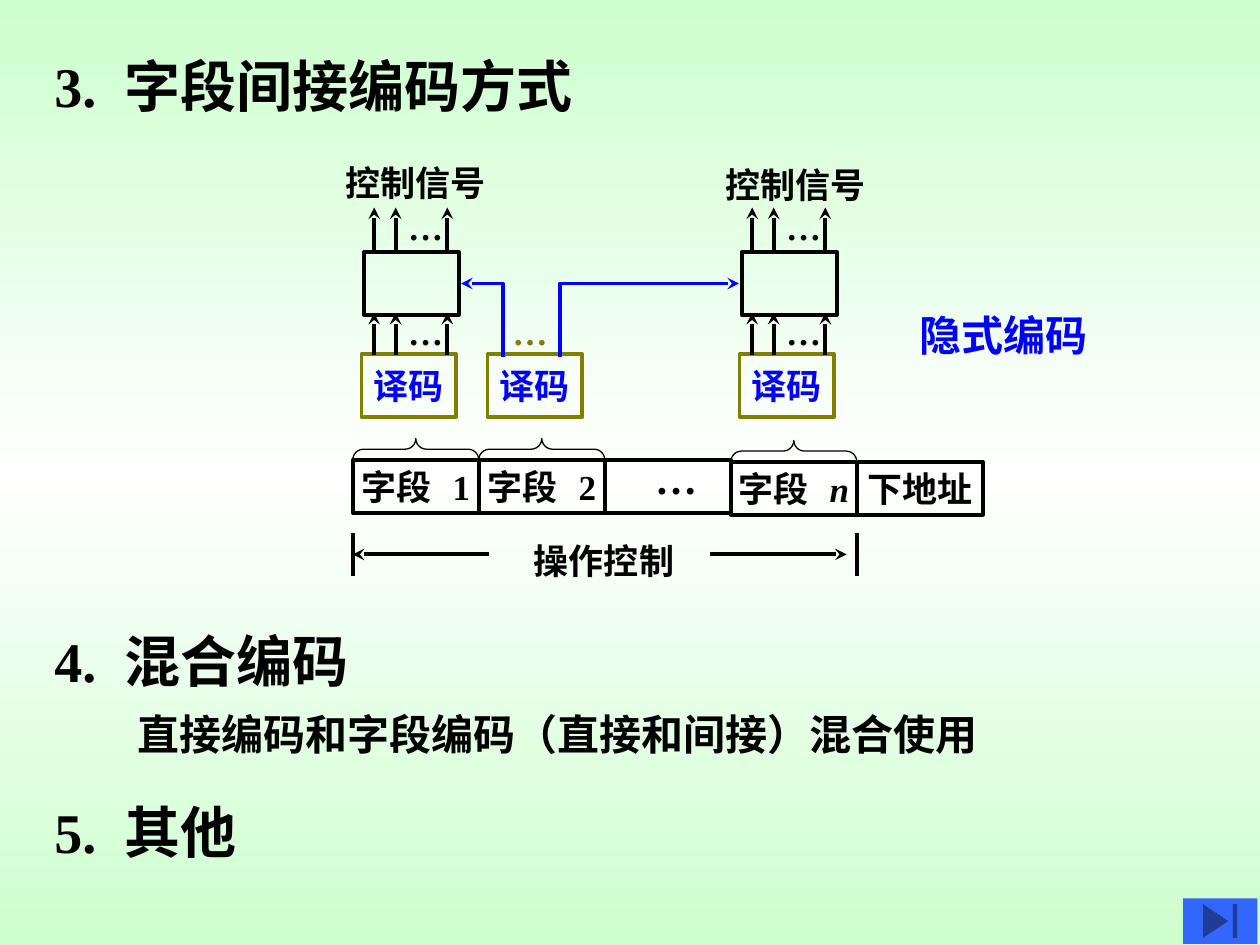
from copy import deepcopy
from typing import NamedTuple

from lxml import etree
from pptx import Presentation
from pptx.dml.color import RGBColor
from pptx.enum import shapes, text
from pptx.oxml.ns import qn
from pptx.util import Pt

HUE = {"ink": "000000", "blue": "0000FF", "olive": "808000",
       "mint": "CDFFCE", "white": "FFFFFF", "key": "3366FF"}
SERIF, SANS = "Times New Roman", "DejaVu Sans"
KIND = shapes.MSO_SHAPE
STEP, LEFT = 72, 201.6  # field width, left edge of the instruction word


class Head(NamedTuple):
    """A line of text held by a placeholder."""
    slot: int
    text: str
    box: tuple
    size: float = 32


class Field(NamedTuple):
    text: str
    top: float
    brace: bool = False
    slant: bool = False


class Unit(NamedTuple):
    """A control block above the decoder of a field."""
    col: int
    label: tuple


HEADS = [
    Head(0, "3. 字段间接编码方式", (23.8, 25.9, 617.8, 46)),
    Head(1, "4. 混合编码", (23.8, 354.2, 527, 46)),
    Head(2, "直接编码和字段编码（直接和间接）混合使用", (71.3, 401, 601.2, 36), 24),
    Head(3, "5. 其他", (23.8, 452.2, 436.3, 46)),
]
FIELDS = [
    Field("字段 1", 262.8, True),
    Field("字段 2", 262.8, True),
    Field("", 262.8),
    Field("字段 n", 263.9, True, True),
    Field("下地址", 263.9),
]
UNITS = [Unit(0, (190.1, 88.6)), Unit(3, (407.5, 90))]


def rgb(hue: str) -> RGBColor:
    return RGBColor.from_string(HUE[hue])


def write(frame, words: str, size: float = 20, hue: str = "ink",
          tail: str = SERIF, slant: bool = False, gap: float = 5,
          align=text.PP_ALIGN.LEFT, anchor=text.MSO_ANCHOR.TOP,
          wrap: bool = False, grow: bool = True) -> None:
    """Write one line; a space in it is widened by gap points."""
    frame.word_wrap = wrap
    frame.vertical_anchor = anchor
    frame.auto_size = (text.MSO_AUTO_SIZE.SHAPE_TO_FIT_TEXT if grow
                       else text.MSO_AUTO_SIZE.NONE)
    para = frame.paragraphs[0]
    para.alignment = align
    para.space_before = Pt(0)
    first, space, last = words.partition(" ")
    for part in filter(None, (first, space, last)):
        run = para.add_run()
        run.text = part
        font = run.font
        font.size, font.bold = Pt(size), True
        font.italic = slant and part == last
        font.color.rgb = rgb(hue)
        font.name = tail if part == last or not last else SERIF
        props = run._r.get_or_add_rPr()
        if part == " ":
            props.set("spc", str(int(gap * 100)))
        east = etree.SubElement(props, qn("a:ea"))
        east.set("typeface", SANS)


def label(slide, words: str, box: tuple, **form) -> None:
    frame = slide.shapes.add_textbox(*map(Pt, box)).text_frame
    write(frame, words, **form)


def head(slide, item: Head) -> None:
    spot = slide.placeholders[item.slot]
    spot.left, spot.top, spot.width, spot.height = map(Pt, item.box)
    write(spot.text_frame, item.text, size=item.size, tail=SANS, gap=8, wrap=True)
    props = spot.text_frame.paragraphs[0]._p.get_or_add_pPr()
    props.set("marL", "0")
    props.set("indent", "0")
    etree.SubElement(props, qn("a:buNone"))


def stroke(item, hue: str = "ink", width: float = 2.25, arrow: bool = False) -> None:
    item.line.color.rgb = rgb(hue)
    item.line.width = Pt(width)
    if arrow:
        ln = item.element.spPr.get_or_add_ln()
        etree.SubElement(ln, qn("a:tailEnd")).set("type", "stealth")


def line(slide, x: float, y: float, end: float, low: float, arrow: bool = True) -> None:
    link = slide.shapes.add_connector(shapes.MSO_CONNECTOR.STRAIGHT,
                                      *map(Pt, (x, y, end, low)))
    stroke(link, arrow=arrow)
    etree.SubElement(link.element.spPr, qn("a:effectLst"))


def shape(slide, kind, box: tuple, hue: str = "ink", width: float = 2.25):
    item = slide.shapes.add_shape(kind, *map(Pt, box))
    item.shadow.inherit = False
    item.fill.background()
    stroke(item, hue, width)
    return item


def block(slide, box: tuple, words: str = "", edge: str = "ink", **form) -> None:
    item = shape(slide, KIND.RECTANGLE, box, edge)
    if words:
        write(item.text_frame, words, align=text.PP_ALIGN.CENTER,
              anchor=text.MSO_ANCHOR.MIDDLE, grow=False, **form)


def bend(slide, x: float, end: float) -> None:
    """Run a blue arrow up from the middle decoder, then sideways."""
    path = slide.shapes.build_freeform(Pt(x), Pt(204.2))
    path.add_line_segments([(Pt(x), Pt(162)), (Pt(end), Pt(162))], close=False)
    item = path.convert_to_shape()
    item.shadow.inherit = False
    item.fill.background()
    stroke(item, "blue", arrow=True)


def dots(slide, x: float, top: float, **form) -> None:
    label(slide, "…", (x, top, 34.6, 31.7), **form)


def field(slide, col: int, item: Field) -> None:
    x = LEFT + col * STEP
    block(slide, (x, item.top, STEP, 30.2), item.text, slant=item.slant)
    if item.brace:
        thick = 12.2
        brace = shape(slide, KIND.LEFT_BRACE,
                      (x + (STEP - thick) / 2, item.top - (STEP + thick) / 2,
                       thick, STEP), width=0.75)
        brace.adjustments[0] = 0.5
        brace.rotation = 90


def unit(slide, item: Unit) -> None:
    x = LEFT + item.col * STEP
    block(slide, (x + 6.5, 144, 54, 36))
    for foot in (142.8, 203):
        for shift in (12.2, 24.5, 54):
            line(slide, x + shift, foot, x + shift, foot - 24.2)
        dots(slide, x + 24.5, foot - 29)
    label(slide, "控制信号", (*item.label, 94.3, 31.7))


def paint(slide) -> None:
    fill = slide.background.fill
    fill.gradient()
    fill.gradient_angle = 90
    stop = next(slide.element.iter(qn("a:gs")))
    stop.addnext(deepcopy(stop))
    for mark, hue, place in zip(fill.gradient_stops, ("mint", "white", "mint"), (0, 0.5, 1)):
        mark.color.rgb = rgb(hue)
        mark.position = place


def main() -> None:
    deck = Presentation()
    deck.slide_width, deck.slide_height = Pt(720), Pt(540)
    slide = deck.slides.add_slide(deck.slide_layouts.get_by_name("Comparison"))
    paint(slide)
    for item in HEADS:
        head(slide, item)
    used = {item.slot for item in HEADS}
    for spot in list(slide.placeholders):
        if spot.placeholder_format.idx not in used:
            spot.element.getparent().remove(spot.element)

    for col, item in enumerate(FIELDS):
        field(slide, col, item)
    dots(slide, 367.2, 254.9, size=24)
    for col in (0, 1, 3):
        block(slide, (LEFT + col * STEP + 5, 202.3, 54, 36), "译码", "olive", hue="blue")
    dots(slide, 285.8, 174, hue="olive")
    for item in UNITS:
        unit(slide, item)
    bend(slide, 287.3, 263.5)
    bend(slide, 320, 422.3)

    for x in (LEFT, LEFT + 4 * STEP):
        line(slide, x, 304.6, x, 329, arrow=False)
    line(slide, 279.4, 316.8, LEFT, 316.8)
    line(slide, 406, 316.8, 483.8, 316.8)
    label(slide, "操作控制", (298, 304.6, 94.3, 31.7))
    label(slide, "隐式编码", (518.4, 173.5, 170, 36), size=24, hue="blue", wrap=True)

    key = shape(slide, KIND.ACTION_BUTTON_END, (676, 513.4, 42.5, 25.9))
    key.fill.solid()
    key.fill.fore_color.rgb = rgb("key")
    key.line.fill.background()
    deck.save("out.pptx")


if __name__ == "__main__":
    main()
